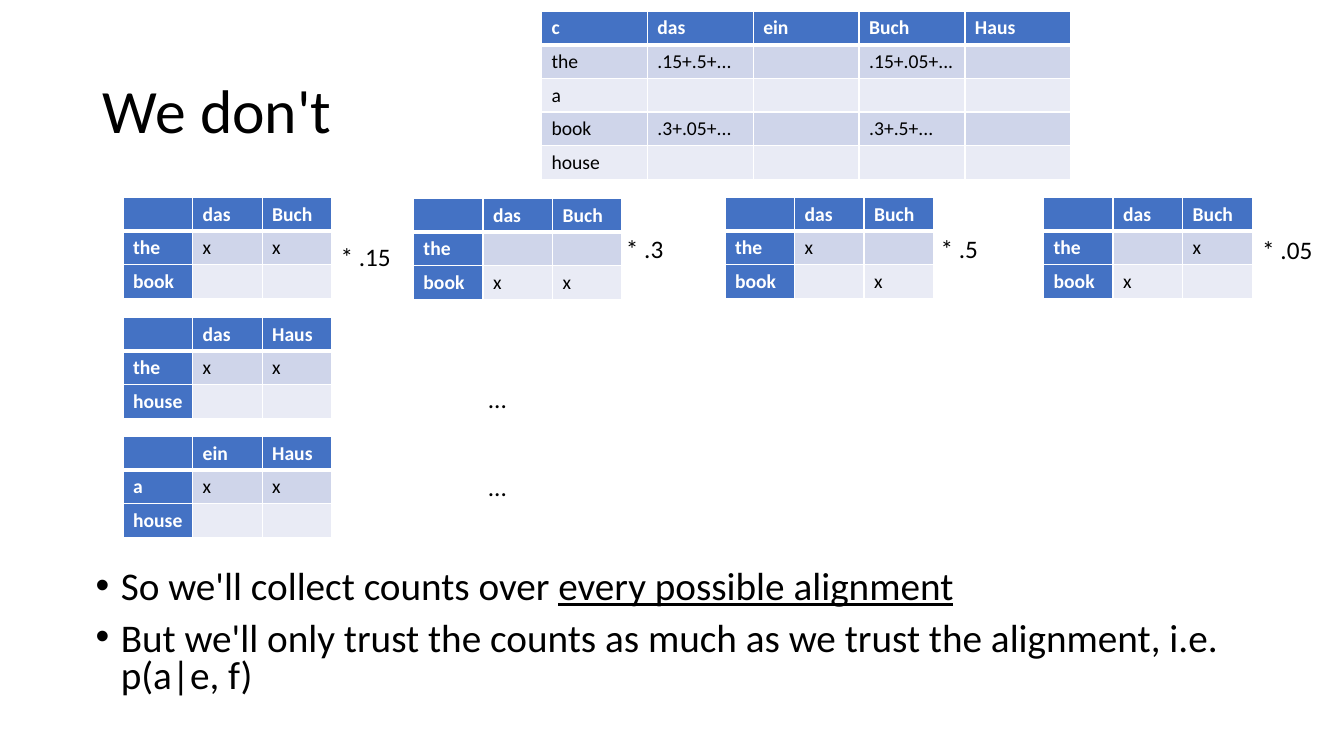
from lxml.etree import SubElement as Sub
from pptx import Presentation
from pptx.dml.color import RGBColor as Rgb
from pptx.enum.text import MSO_ANCHOR as Anchor, MSO_AUTO_SIZE as Fit, PP_ALIGN as Align
from pptx.oxml.ns import qn
from pptx.util import Inches, Pt

FONT = "Calibri"
BLUE, DARK, LIGHT = "4472C4", "CFD5EA", "E9EBF5"
BLACK, WHITE = "000000", "FFFFFF"


def color(code):
    return Rgb.from_string(code)


def add_run(para, text, size, code=BLACK, bold=False, under=False):
    run = para.add_run()
    run.text = text
    font = run.font
    font.name, font.size = FONT, Pt(size)
    font.bold, font.underline = bold, under
    font.color.rgb = color(code)


def add_edge(cell, side, width):
    line = Sub(cell._tc.get_or_add_tcPr(), qn(f"a:ln{side}"), w=str(Pt(width)))
    fill = Sub(line, qn("a:solidFill"))
    Sub(fill, qn("a:srgbClr"), val=WHITE)


def style_cell(cell, text, row, head):
    edges = {"L": 1, "R": 1, "T": 3 if row == 1 else 1, "B": 3 if row == 0 else 1}
    for side, width in edges.items():
        add_edge(cell, side, width)
    cell.fill.solid()
    cell.fill.fore_color.rgb = color(BLUE if head else DARK if row % 2 else LIGHT)
    para = cell.text_frame.paragraphs[0]
    if text:
        add_run(para, text, 14, WHITE if head else BLACK, head)
    else:
        Sub(para._p, qn("a:endParaRPr"), sz="1400")


def add_grid(slide, left, top, wide, rows, side=True):
    high = 0.333
    count = len(rows[0])
    frame = slide.shapes.add_table(len(rows), count, Inches(left), Inches(top),
                                   Inches(wide * count), Inches(high * len(rows)))
    table = frame.table
    table.first_col = side
    for col in table.columns:
        col.width = Inches(wide)
    for r, row in enumerate(rows):
        table.rows[r].height = Inches(high)
        for c, text in enumerate(row):
            style_cell(table.cell(r, c), text, r, r == 0 or (side and c == 0))


def add_align(slide, left, top, words, marks):
    first, last, one, two = words
    rows = [["", first, last], [one, *marks[:2]], [two, *marks[2:]]]
    add_grid(slide, left, top, 0.69, rows)


def add_label(slide, left, top, width, text):
    box = slide.shapes.add_textbox(Inches(left), Inches(top), Inches(width), Inches(0.4))
    frame = box.text_frame
    frame.word_wrap = False
    frame.auto_size = Fit.SHAPE_TO_FIT_TEXT
    add_run(frame.paragraphs[0], text, 18)


def set_title(slide, text):
    title = slide.shapes.title
    title.left, title.top = Inches(0.92), Inches(0.4)
    title.width, title.height = Inches(11.5), Inches(1.45)
    title.text_frame.vertical_anchor = Anchor.MIDDLE
    para = title.text_frame.paragraphs[0]
    para.alignment, para.line_spacing = Align.LEFT, 0.9
    add_run(para, text, 44)


def add_points(slide, points):
    box = slide.shapes.add_textbox(Inches(0.85), Inches(5.61), Inches(11.5), Inches(1.43))
    frame = box.text_frame
    frame.word_wrap = True
    for i, parts in enumerate(points):
        para = frame.add_paragraph() if i else frame.paragraphs[0]
        para.line_spacing = 0.8
        para.space_before = Pt(10 if i else 0)
        props = para._p.get_or_add_pPr()
        props.set("marL", str(Inches(0.25)))
        props.set("indent", str(-Inches(0.25)))
        Sub(props, qn("a:buFont"), typeface="Arial")
        Sub(props, qn("a:buChar"), char="•")
        for text, under in parts:
            add_run(para, text, 28, under=under)


def main():
    deck = Presentation()
    deck.slide_width, deck.slide_height = Inches(13.33), Inches(7.5)
    slide = deck.slides.add_slide(deck.slide_layouts[5])
    set_title(slide, "We don't")
    add_points(slide, [
        [("So we'll collect counts over ", False), ("every possible alignment", True)],
        [("But we'll only trust the counts as much as we trust the alignment, "
          "i.e. p(a|e, f)", False)],
    ])

    book = ("das", "Buch", "the", "book")
    house = ("das", "Haus", "the", "house")
    home = ("ein", "Haus", "a", "house")
    both = ("x", "x", "", "")
    for left, top, words, marks in [
        (1.22, 1.96, book, both),
        (1.22, 3.15, house, both),
        (1.22, 4.33, home, both),
        (4.1, 1.97, book, ("", "", "x", "x")),
        (7.19, 1.96, book, ("x", "", "", "x")),
        (10.35, 1.96, book, ("", "x", "x", "")),
    ]:
        add_align(slide, left, top, words, marks)

    for label in [
        (3.28, 2.34, 0.71, "* .15"),
        (6.11, 2.27, 0.58, "* .3"),
        (9.23, 2.27, 0.58, "* .5"),
        (12.42, 2.28, 0.71, "* .05"),
        (4.74, 3.75, 0.39, "..."),
        (4.74, 4.63, 0.39, "..."),
    ]:
        add_label(slide, *label)

    add_grid(slide, 5.37, 0.11, 1.05, [
        ["c", "das", "ein", "Buch", "Haus"],
        ["the", ".15+.5+...", "", ".15+.05+...", ""],
        ["a", "", "", "", ""],
        ["book", ".3+.05+...", "", ".3+.5+...", ""],
        ["house", "", "", "", ""],
    ], side=False)
    deck.save("out.pptx")


if __name__ == "__main__":
    main()
